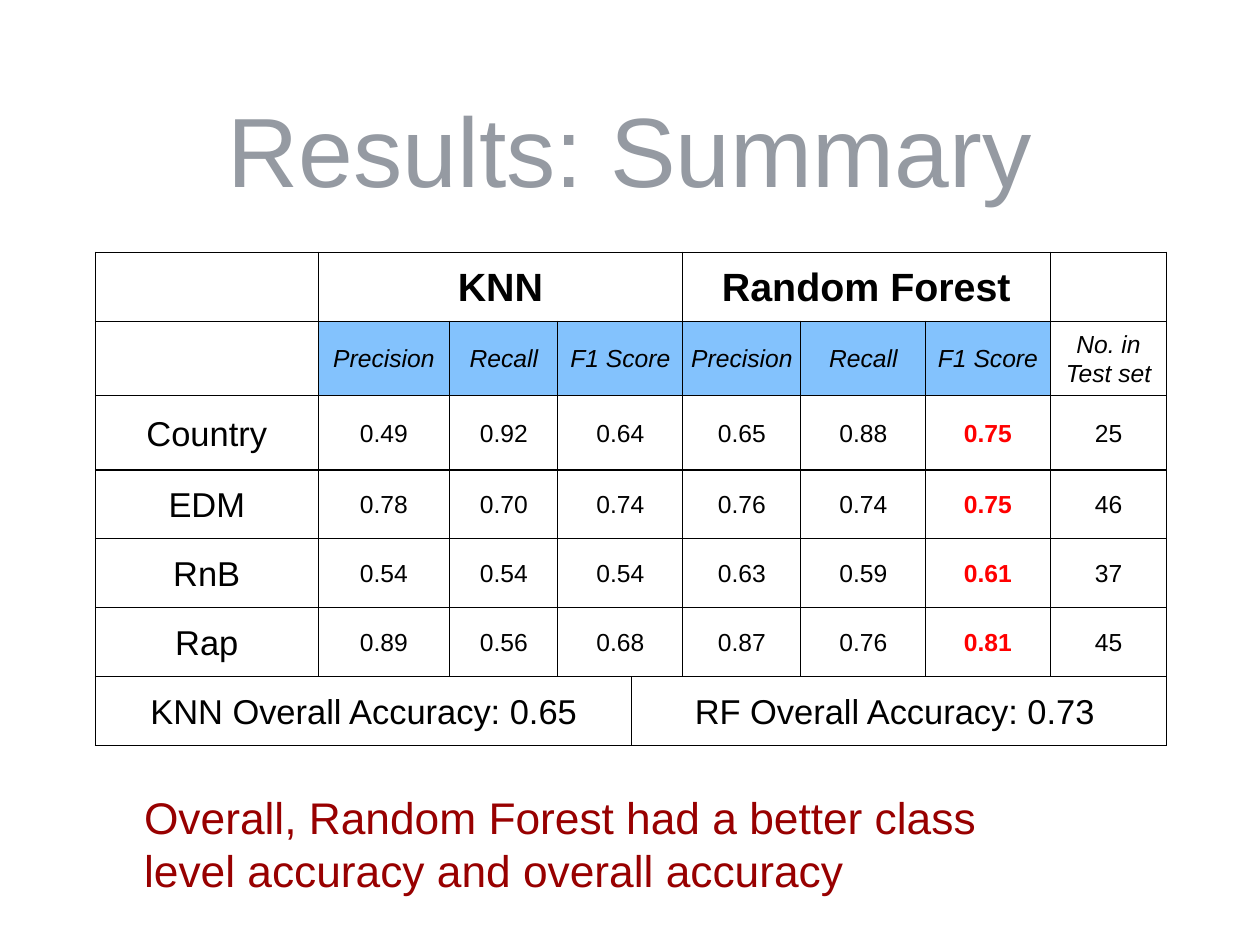
import pptx
import pptx.dml.color
import pptx.enum.text
import pptx.oxml
import pptx.oxml.ns
import pptx.util

Pt = pptx.util.Pt
ALIGN = pptx.enum.text.PP_ALIGN
MIDDLE = pptx.enum.text.MSO_ANCHOR.MIDDLE

WIDTHS = [181, 107, 88, 60, 41.5, 96, 101.5, 101, 95]
HEIGHTS = [56, 60.5, 60.5, 56, 56, 56, 56]
GRID = [0, 1, 2, 3, 5, 6, 7, 8]
SCORES = ["Precision", "Recall", "F1 Score"]
GENRES = [
    ["Country", "0.49", "0.92", "0.64", "0.65", "0.88", "0.75", "25"],
    ["EDM", "0.78", "0.70", "0.74", "0.76", "0.74", "0.75", "46"],
    ["RnB", "0.54", "0.54", "0.54", "0.63", "0.59", "0.61", "37"],
    ["Rap", "0.89", "0.56", "0.68", "0.87", "0.76", "0.81", "45"],
]


def color(code):
    """Turn a hex string into a colour."""
    return pptx.dml.color.RGBColor.from_string(code)


def write(frame, text, size=20, ink="000000", bold=False, italic=False,
          align=ALIGN.CENTER, space=None, indent=0):
    """Put one formatted paragraph into a text frame."""
    frame.word_wrap = True
    para = frame.paragraphs[0]
    para.alignment = align
    if space:
        para.line_spacing = space
    if indent:
        props = para._p.get_or_add_pPr()
        props.set("marL", str(Pt(indent)))
        props.set("indent", "0")
    run = para.add_run()
    run.text = text
    font = run.font
    font.name = "Arial"
    font.size = Pt(size)
    font.bold = bold
    font.italic = italic
    font.color.rgb = color(ink)


def border(cell):
    """Draw a thin black line on every side of a cell."""
    props = cell._tc.get_or_add_tcPr()
    space = pptx.oxml.ns.nsdecls("a")
    for side in "LRTB":
        props.append(pptx.oxml.parse_xml(
            f'<a:ln{side} {space} w="{Pt(1)}"><a:solidFill>'
            f'<a:srgbClr val="000000"/></a:solidFill></a:ln{side}>'))


def title(slide, left, top, width, height):
    """Place the slide title in its box."""
    shape = slide.shapes.title
    shape.left, shape.top = Pt(left), Pt(top)
    shape.width, shape.height = Pt(width), Pt(height)
    frame = shape.text_frame
    frame.margin_left = frame.margin_right = Pt(4)
    frame.margin_top = frame.margin_bottom = Pt(4)
    frame.vertical_anchor = MIDDLE
    write(frame, "Results: Summary", size=80, ink="959AA2")


def fill(table, row, starts, texts, styles):
    """Merge one row at the given starts and write its texts."""
    ends = starts[1:] + [len(WIDTHS)]
    for start, end, text, style in zip(starts, ends, texts, styles):
        cell = table.cell(row, start)
        if end - start > 1:
            cell.merge(table.cell(row, end - 1))
        if text:
            write(cell.text_frame, text, space=1.07, **style)


def results(slide, left, top):
    """Build the table of scores from its top left corner."""
    shape = slide.shapes.add_table(
        len(HEIGHTS), len(WIDTHS), Pt(left), Pt(top),
        Pt(sum(WIDTHS)), Pt(sum(HEIGHTS)))
    table = shape.table
    table.first_row = table.horz_banding = False
    for column, width in zip(table.columns, WIDTHS):
        column.width = Pt(width)
    for row, height in zip(table.rows, HEIGHTS):
        row.height = Pt(height)
    for cell in table.iter_cells():
        border(cell)
        cell.fill.background()
        cell.vertical_anchor = MIDDLE
        cell.margin_left = cell.margin_right = Pt(5)
        cell.margin_top = cell.margin_bottom = 0
    for index in range(1, 8):
        cell = table.cell(1, index)
        cell.fill.solid()
        cell.fill.fore_color.rgb = color("83C2FD")

    head = {"size": 32, "bold": True}
    large = {"size": 28}
    best = {"ink": "FF0000", "bold": True}
    fill(table, 0, [0, 1, 5, 8], ["", "KNN", "Random Forest", ""], [head] * 4)
    fill(table, 1, GRID, ["", *SCORES, *SCORES, "No. in Test set"],
         [{"italic": True}] * 8)
    for row, texts in enumerate(GENRES, 2):
        fill(table, row, GRID, texts, [large] + [{}] * 5 + [best, {}])
    fill(table, 6, [0, 4],
         ["KNN Overall Accuracy: 0.65", "RF Overall Accuracy: 0.73 "],
         [large] * 2)


def verdict(slide, left, top, width, height):
    """Place the closing statement in its box."""
    box = slide.shapes.add_textbox(Pt(left), Pt(top), Pt(width), Pt(height))
    frame = box.text_frame
    frame.auto_size = pptx.enum.text.MSO_AUTO_SIZE.SHAPE_TO_FIT_TEXT
    write(frame, "Overall, Random Forest had a better class level "
          "accuracy and overall accuracy", size=36, ink="980000",
          align=ALIGN.LEFT, indent=35)


def main():
    """Build and save the slide."""
    deck = pptx.Presentation()
    deck.slide_width, deck.slide_height = Pt(1024), Pt(768)
    slide = deck.slides.add_slide(deck.slide_layouts[5])
    title(slide, 75, 35, 874, 170)
    results(slide, 77.5, 205)
    verdict(slide, 75, 638.5, 809, 94.5)
    deck.save("out.pptx")


if __name__ == "__main__":
    main()
